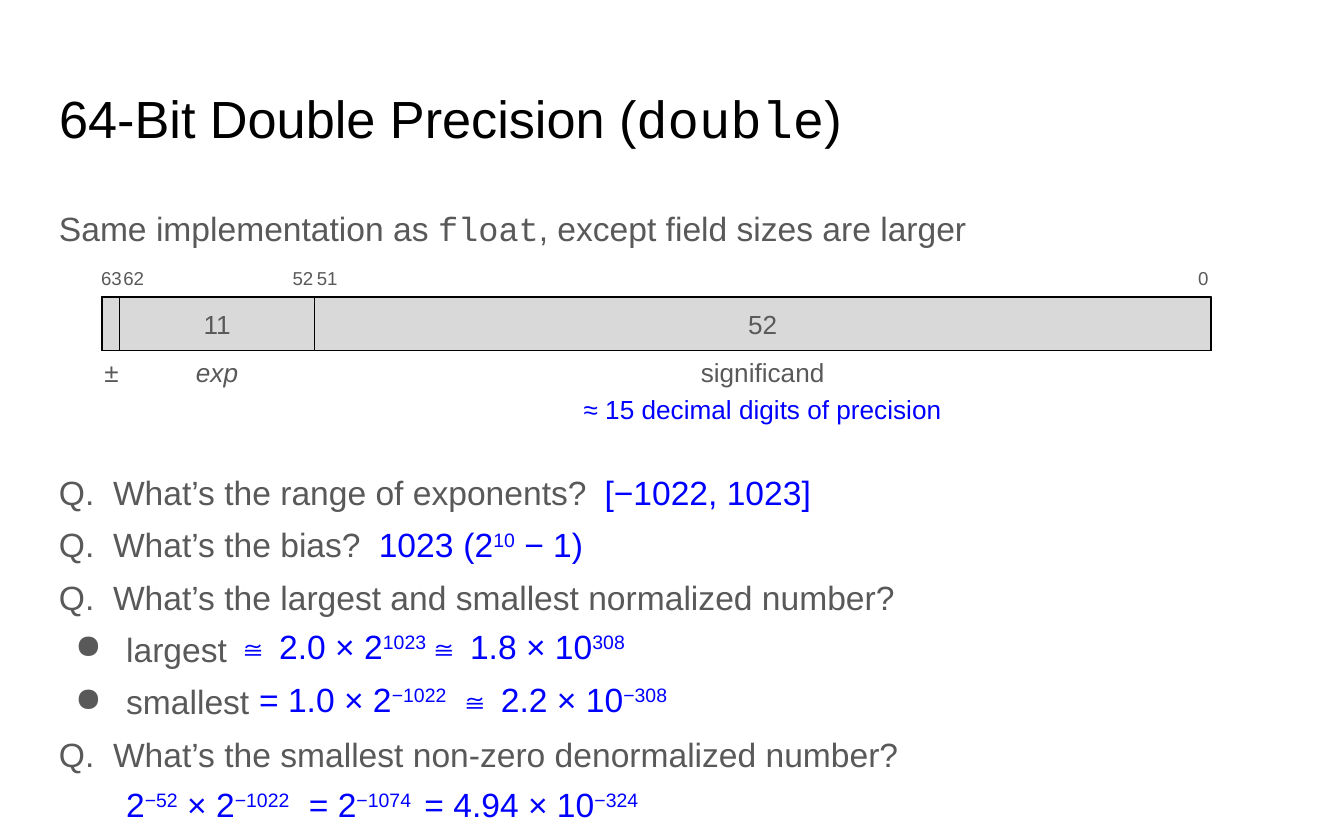
from pptx import Presentation
from pptx.dml.color import RGBColor
from pptx.enum.shapes import MSO_SHAPE as Form
from pptx.enum.text import MSO_ANCHOR as Anchor, MSO_AUTO_SIZE as Fit, PP_ALIGN as Align
from pptx.oxml.ns import qn
from pptx.util import Inches, Pt
from lxml.etree import SubElement

BLACK = RGBColor(0x00, 0x00, 0x00)
GREY = RGBColor(0x59, 0x59, 0x59)
PALE = RGBColor(0xD9, 0xD9, 0xD9)
BLUE = RGBColor(0x00, 0x00, 0xFF)
SANS, MONO = "Arial", "Courier New"

WIDE, HIGH = Inches(10), Inches(6.25)
CELL = WIDE / 100  # square grid: 100 columns, 62.5 rows


def span(*cells):
    """Turn grid cells into slide lengths."""
    return [round(cell * CELL) for cell in cells]


def add_run(para, text, size, color, font=SANS):
    """Add one formatted run and return it."""
    run = para.add_run()
    run.text = text
    run.font.size, run.font.name = Pt(size), font
    run.font.color.rgb = color
    return run


def set_frame(shape, anchor):
    """Set wrapping, insets and anchor; return the first paragraph."""
    frame = shape.text_frame
    frame.word_wrap, frame.auto_size = True, Fit.NONE
    frame.vertical_anchor = anchor
    frame.margin_left = frame.margin_right = Inches(0.1)
    frame.margin_top = frame.margin_bottom = Inches(0.1)
    return frame.paragraphs[0]


def add_text(slide, box, anchor=Anchor.TOP, align=Align.LEFT, gap=1.0):
    """Add a text box and return its first paragraph."""
    para = set_frame(slide.shapes.add_textbox(*span(*box)), anchor)
    para.alignment, para.line_spacing = align, gap
    return para


def add_mixed(para, parts, size, color):
    """Add runs whose every second part is code."""
    for i, part in enumerate(parts):
        add_run(para, part, size, color, MONO if i % 2 else SANS)


def add_power(para, parts):
    """Add runs whose every second part is an exponent."""
    for i, part in enumerate(parts):
        run = add_run(para, part, 18, BLUE)
        if i % 2:
            run.font._element.set("baseline", "30000")


def add_title(slide, box):
    """Place and fill the title."""
    title = slide.shapes.title
    title.left, title.top, title.width, title.height = span(*box)
    para = set_frame(title, Anchor.TOP)
    para.alignment = Align.LEFT
    add_mixed(para, ["64-Bit Double Precision (", "double", ")"], 28, BLACK)


def add_intro(slide, box):
    """Write the opening sentence."""
    para = add_text(slide, box, gap=1.15)
    add_mixed(para, ["Same implementation as ", "float",
                     ", except field sizes are larger"], 18, GREY)


def add_field(slide, box, text="", fill=PALE):
    """Draw one outlined bit field with its width inside."""
    field = slide.shapes.add_shape(Form.RECTANGLE, *span(*box))
    field.shadow.inherit = False
    if fill is None:
        field.fill.background()
    else:
        field.fill.solid()
        field.fill.fore_color.rgb = fill
    field.line.color.rgb, field.line.width = BLACK, Pt(0.75)
    para = set_frame(field, Anchor.MIDDLE)
    para.alignment = Align.CENTER
    if text:
        add_run(para, text, 14, GREY)


def add_label(slide, box, text, size=14, align=Align.CENTER, color=GREY):
    """Write one label of the bit layout."""
    return add_run(add_text(slide, box, Anchor.MIDDLE, align), text, size, color)


def add_bits(slide, box):
    """Draw the bit layout: fields, bit numbers above, names below."""
    left, top, width, height = box
    add_field(slide, box, fill=None)
    edges = [0, 1.3, 15.8, width]
    spans = [(left + a, b - a) for a, b in zip(edges, edges[1:])]
    for (x, wide), bits in zip(spans, ["", "11", "52"]):
        add_field(slide, (x, top, wide, height), bits)

    for x, wide, text, align in [
            (-9.3, 20, "63", Align.CENTER), (0.6, 6.6, "62", Align.LEFT),
            (9.2, 7.5, "52", Align.RIGHT), (15, 6.6, "51", Align.LEFT),
            (75.8, 7.5, "0", Align.RIGHT)]:
        add_label(slide, (left + x, top - 3.4, wide, height), text, 10, align)

    _, (mid, short), (last, long) = spans
    below = top + 3.6
    add_label(slide, (left - 3.6, below, 8.6, height), "±")
    add_label(slide, (mid, below, short, height), "exp").font.italic = True
    add_label(slide, (last, below, long, height), "significand")
    add_label(slide, (last, below + 2.7, long, height),
              "≈ 15 decimal digits of precision", color=BLUE)


def set_bullet(para):
    """Indent the paragraph and give it a round bullet."""
    props = para._p.get_or_add_pPr()
    props.set("marL", str(Inches(0.5)))
    props.set("indent", str(-Inches(0.38)))
    color = SubElement(props, qn("a:buClr"))
    SubElement(color, qn("a:srgbClr")).set("val", str(GREY))
    SubElement(props, qn("a:buChar")).set("char", "●")


def add_asks(slide, box):
    """Write the questions and place the answers beside them."""
    left, top, width, _ = box
    para = add_text(slide, box, gap=1.3)
    frame = para._parent
    asks = ["Q.  What’s the range of exponents?", "Q.  What’s the bias?",
            "Q.  What’s the largest and smallest normalized number?",
            "largest", "smallest",
            "Q.  What’s the smallest non-zero denormalized number?"]
    for i, ask in enumerate(asks):
        if i:
            para = frame.add_paragraph()
            para.line_spacing = 1.3
        if not ask.startswith("Q."):
            set_bullet(para)
        add_run(para, ask, 18, GREY)

    answers = [
        (0, [(40.6, ["[−1022, 1023]"])]),
        (3.9, [(23.8, ["1023"]), (30.1, ["(2", "10", " − 1)"])]),
        (11.5, [(13.2, ["≅ 2.0 × 2", "1023"]),
                (27.4, ["≅ 1.8 × 10", "308"])]),
        (15.4, [(14.9, ["= 1.0 × 2", "−1022"]),
                (29.7, ["≅ 2.2 × 10", "−308"])]),
        (23.2, [(5, ["2", "−52", " × 2", "−1022"]), (18.6, ["= 2", "−1074"]),
                (27.2, ["= 4.94 × 10", "−324"])])]
    for y, row in answers:
        for x, parts in row:
            spot = (left + x, top + y, 40, 5.3)
            add_power(add_text(slide, spot, gap=1.3), parts)


def main():
    """Build and save the slide."""
    deck = Presentation()
    deck.slide_width, deck.slide_height = WIDE, HIGH
    slide = deck.slides.add_slide(deck.slide_layouts[5])
    add_title(slide, (3.4, 5.4, 93.2, 7))
    add_intro(slide, (3.4, 14, 93.2, 5))
    add_bits(slide, (7.6, 22.1, 82.5, 4))
    add_asks(slide, (3.4, 33.2, 93.2, 26.7))
    deck.save("out.pptx")


main()
